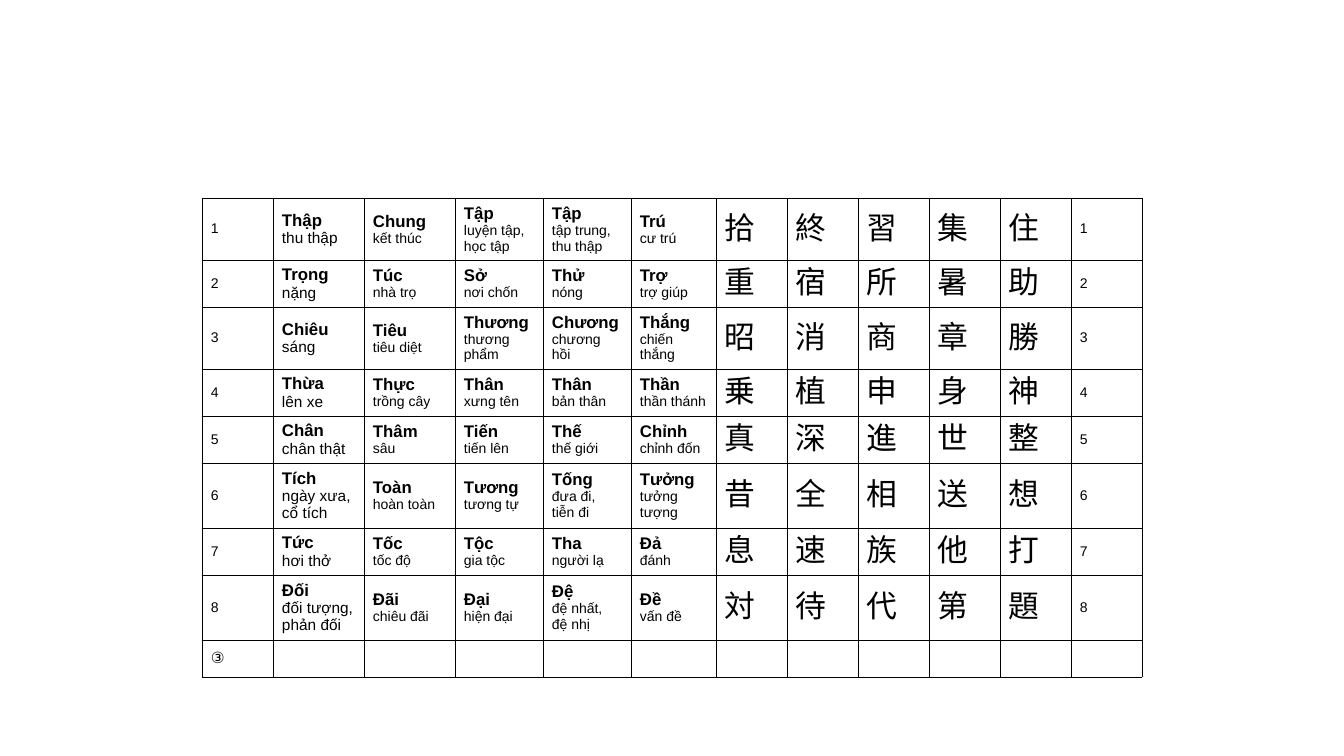
from lxml import etree
from pptx import Presentation
from pptx import util as u
from pptx.dml.color import RGBColor
from pptx.enum import text
from pptx.oxml import ns

PX = 914400 / 100.8
COLORS = {"ink": "000000"}
LATIN, KANJI = "Arial", "Roboto"

COLUMN_WIDTHS = [71, 91, 91, 88, 88, 85] + [71] * 6
ROW_HEIGHTS = [62, 47, 62, 47, 47, 65, 47, 65, 37]

# Each row: five readings with their meanings, then the five kanji
ROWS = [
    (["Thập|thu thập", "Chung|kết thúc", "Tập|luyện tập,|học tập",
      "Tập|tập trung,|thu thập", "Trú|cư trú"], "拾終習集住"),
    (["Trọng|nặng", "Túc|nhà trọ", "Sở|nơi chốn", "Thử|nóng", "Trợ|trợ giúp"], "重宿所暑助"),
    (["Chiêu|sáng", "Tiêu|tiêu diệt", "Thương|thương|phẩm",
      "Chương|chương hồi", "Thắng|chiến|thắng"], "昭消商章勝"),
    (["Thừa|lên xe", "Thực|trồng cây", "Thân|xưng tên",
      "Thân|bản thân", "Thần|thần thánh"], "乗植申身神"),
    (["Chân|chân thật", "Thâm|sâu", "Tiến|tiến lên",
      "Thế|thế giới", "Chỉnh|chỉnh đốn"], "真深進世整"),
    (["Tích|ngày xưa,|cổ tích", "Toàn|hoàn toàn", "Tương|tương tự",
      "Tống|đưa đi,|tiễn đi", "Tưởng|tưởng|tượng"], "昔全相送想"),
    (["Tức|hơi thở", "Tốc|tốc độ", "Tộc|gia tộc", "Tha|người lạ", "Đả|đánh"], "息速族他打"),
    (["Đối|đối tượng,|phản đối", "Đãi|chiêu đãi", "Đại|hiện đại",
      "Đệ|đệ nhất,|đệ nhị", "Đề|vấn đề"], "対待代第題"),
]
SHEET_NUMBER = "③"


def px(length):
    return u.Emu(round(length * PX))


def write(cell, content, size=10, bold=False, font=LATIN):
    """Add one formatted run to the cell's paragraph."""
    run = cell.text_frame.paragraphs[0].add_run()
    run.text = content
    run.font.size = u.Pt(size)
    run.font.bold = bold
    run.font.name = font
    run.font.color.rgb = RGBColor.from_string(COLORS["ink"])
    etree.SubElement(run.font._element, ns.qn("a:ea"), typeface=font)


def write_reading(cell, entry, meaning_size):
    reading, *meaning = entry.split("|")
    write(cell, reading, size=12, bold=True)
    for line in meaning:
        cell.text_frame.paragraphs[0].add_line_break()
        write(cell, line, size=meaning_size)


def draw_borders(cell):
    properties = cell._tc.get_or_add_tcPr()
    for side in ("lnL", "lnR", "lnT", "lnB"):
        line = etree.SubElement(properties, ns.qn(f"a:{side}"), w=str(u.Pt(0.5)))
        fill = etree.SubElement(line, ns.qn("a:solidFill"))
        etree.SubElement(fill, ns.qn("a:srgbClr"), val=COLORS["ink"])


def format_cell(cell):
    draw_borders(cell)
    cell.fill.background()
    cell.vertical_anchor = text.MSO_ANCHOR.MIDDLE
    cell.margin_left = cell.margin_right = px(9)
    cell.margin_top = cell.margin_bottom = px(5)


def set_empty_size(cell, size):
    """Keep an empty cell from stretching its row."""
    paragraph = cell.text_frame.paragraphs[0]
    etree.SubElement(paragraph._p, ns.qn("a:endParaRPr"), sz=str(size * 100))


def add_kanji_table(slide, left, top):
    frame = slide.shapes.add_table(
        len(ROW_HEIGHTS), len(COLUMN_WIDTHS), px(left), px(top),
        px(sum(COLUMN_WIDTHS)), px(sum(ROW_HEIGHTS)))
    table = frame.table
    table.first_row = table.horz_banding = False
    for column, width in zip(table.columns, COLUMN_WIDTHS):
        column.width = px(width)
    for row, height in zip(table.rows, ROW_HEIGHTS):
        row.height = px(height)
    for cell in table.iter_cells():
        format_cell(cell)
    return table


def fill_kanji_table(table):
    last_column = len(COLUMN_WIDTHS) - 1
    for row, (readings, kanji) in enumerate(ROWS):
        # Row number at both ends
        for column in (0, last_column):
            write(table.cell(row, column), str(row + 1))
        # Readings on the left, kanji on the right
        for column, entry in enumerate(readings, 1):
            write_reading(table.cell(row, column), entry, 11 if column == 1 else 10)
        for column, character in enumerate(kanji, 1 + len(readings)):
            write(table.cell(row, column), character, size=22, font=KANJI)

    # Closing row with the sheet number
    closing_row = len(ROWS)
    write(table.cell(closing_row, 0), SHEET_NUMBER, size=11, font=KANJI)
    for column in range(1, last_column + 1):
        set_empty_size(table.cell(closing_row, column), 11)


def main():
    presentation = Presentation()
    presentation.slide_width = px(1344)
    presentation.slide_height = px(756)
    slide = presentation.slides.add_slide(presentation.slide_layouts[6])
    fill_kanji_table(add_kanji_table(slide, 202, 198))
    presentation.save("out.pptx")


if __name__ == "__main__":
    main()
